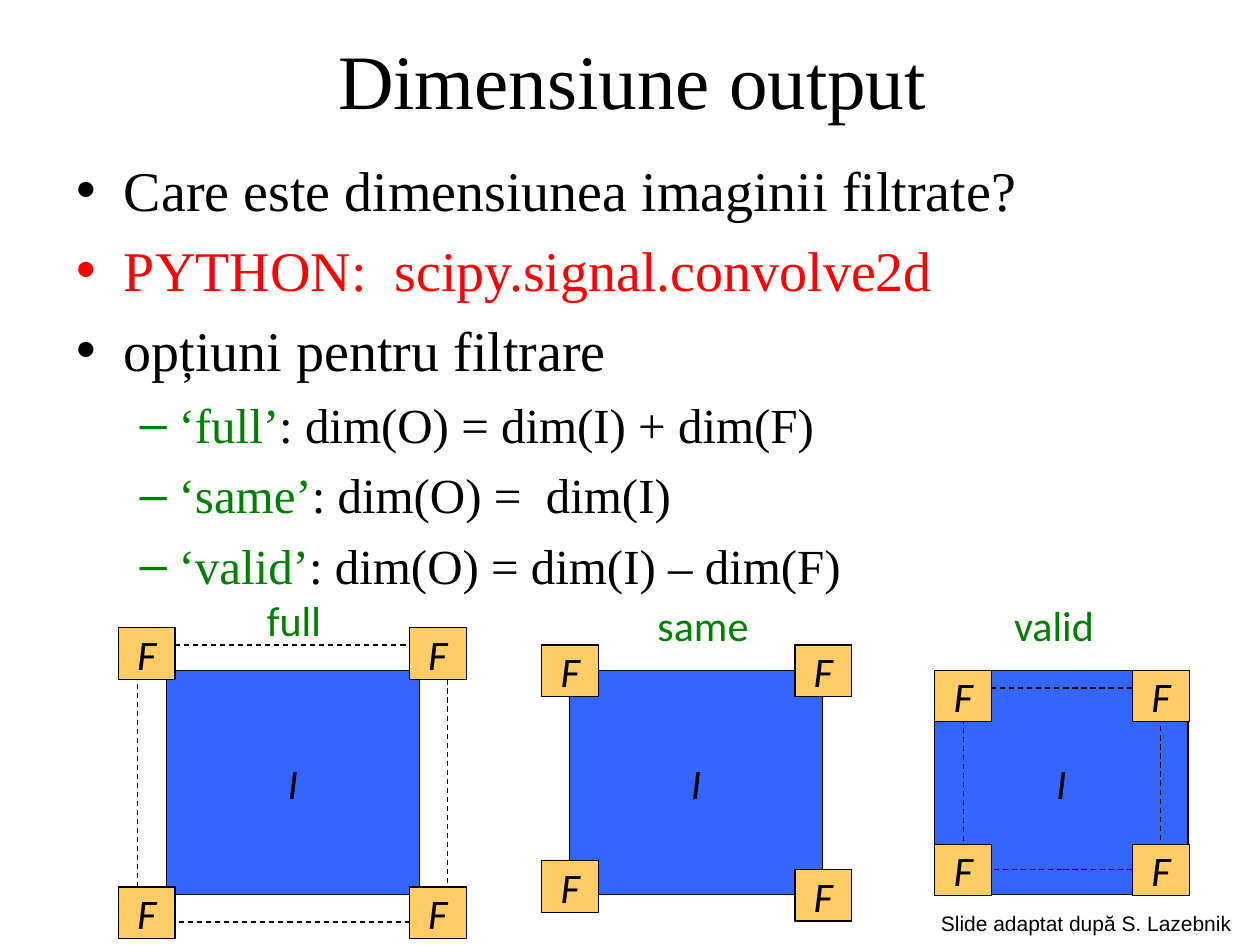
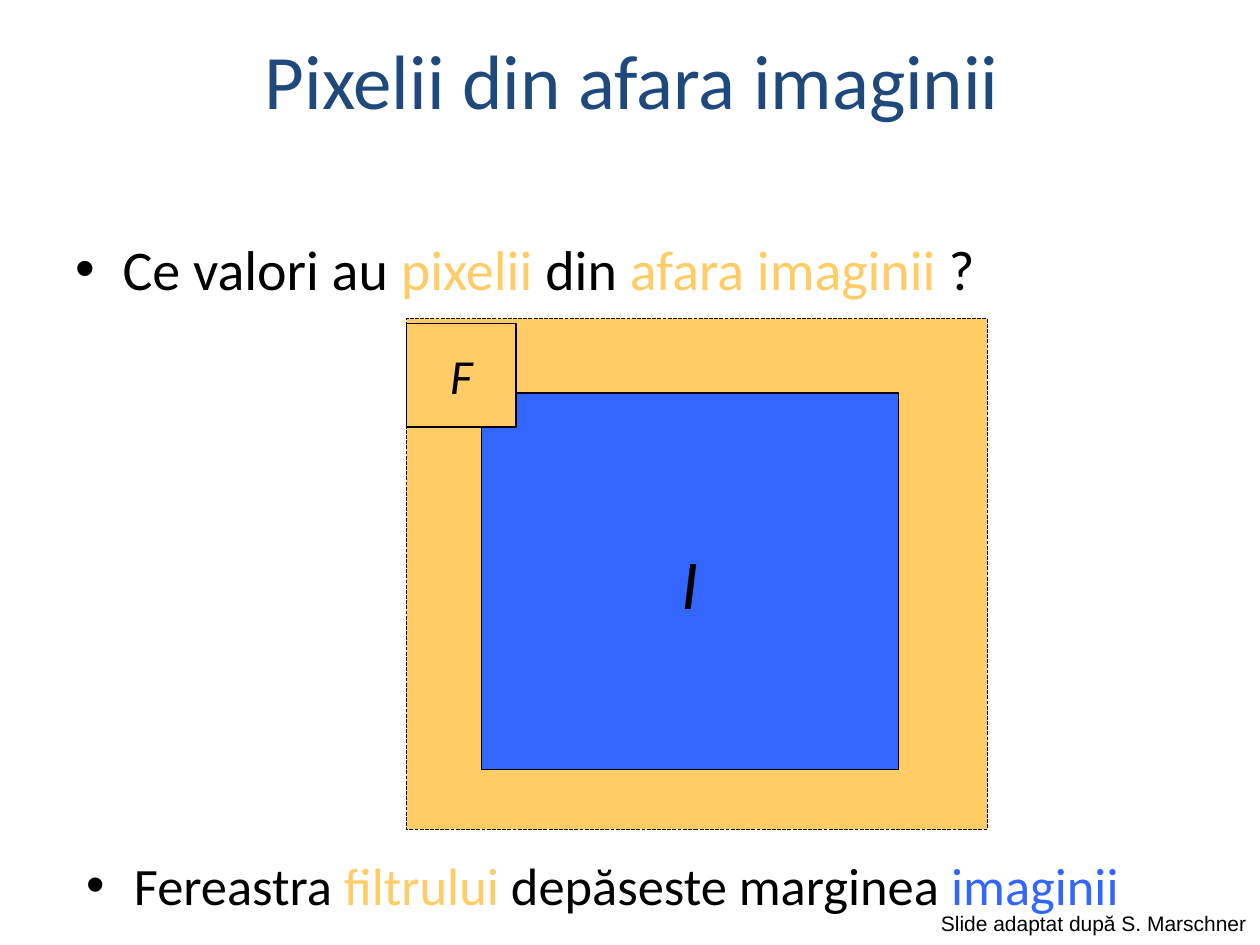
from pptx import Presentation
from pptx.dml.color import RGBColor
from pptx.enum import dml, shapes, text
from pptx.oxml import parse_xml
from pptx.oxml.ns import nsdecls
from pptx.util import Pt

BLACK = RGBColor(0x00, 0x00, 0x00)
WHITE = RGBColor(0xFF, 0xFF, 0xFF)
RED = RGBColor(0xFF, 0x00, 0x00)
GREEN = RGBColor(0x00, 0x80, 0x00)
NAVY = RGBColor(0x1F, 0x49, 0x7D)
IMAGE_BLUE = RGBColor(0x33, 0x66, 0xFF)
FILTER_AMBER = RGBColor(0xFF, 0xCC, 0x66)

SERIF, SANS, CREDIT_FONT = "Times New Roman", "Calibri", "Arial"

# Content: bullet paragraphs are (level, [(words, colour), ...])
SIZE_TITLE = "Dimensiune output"
SIZE_BULLETS = [
    (0, [("Care este dimensiunea imaginii filtrate?", BLACK)]),
    (0, [("PYTHON:  scipy.signal.convolve2d", RED)]),
    (0, [("opțiuni pentru filtrare", BLACK)]),
    (1, [("‘full’", GREEN), (": dim(O) = dim(I) + dim(F)", BLACK)]),
    (1, [("‘same’", GREEN), (": dim(O) =  dim(I)", BLACK)]),
    (1, [("‘valid’", GREEN), (": dim(O) = dim(I) – dim(F)", BLACK)]),
]
SIZE_CREDIT = ("Slide adaptat după S. Lazebnik", 182)

# Each mode: label box, image left, filter columns (left, top, bottom), dashed output frame
MODES = [
    dict(label=("full", 145.4, 336.2, 51), image_left=95,
         columns=[(234, 358.6, 506.9), (67.7, 358.6, 506.9)],
         frame=(78.5, 368.6, 177.1, 158.4), frame_behind=True),
    dict(label=("same", 368.6, 339.1, 76), image_left=325.4,
         columns=[(454.3, 368.6, 496.8), (309.6, 368.6, 491.8)],
         frame=None, frame_behind=False),
    dict(label=("valid", 572.4, 339.1, 70), image_left=534.2,
         columns=[(647.3, 383, 482.4), (534.2, 383, 482.4)],
         frame=(550.8, 393.1, 112.3, 103.7), frame_behind=False),
]
IMAGE_TOP, IMAGE_WIDTH, IMAGE_HEIGHT = 383, 144.7, 128.2
FILTER_SIZE = (32.4, 29.5)

EDGE_TITLE = "Pixelii din afara imaginii"
EDGE_QUESTION = [(0, [("Ce valori au ", BLACK), ("pixelii", FILTER_AMBER), (" din ", BLACK),
                      ("afara imaginii ", FILTER_AMBER), ("?", BLACK)])]
EDGE_REMARK = [(0, [("Fereastra ", BLACK), ("filtrului ", FILTER_AMBER),
                    ("depăseste marginea ", BLACK), ("imaginii", IMAGE_BLUE)])]
EDGE_CREDIT = ("Slide adaptat după S. Marschner", 189)

# Bullet level: character, left margin, hanging indent
LEVELS = [("•", 27, -27), ("–", 58.3, -22.3)]


def box(left, top, width, height):
    return [Pt(v) for v in (left, top, width, height)]


def write(paragraph, words, colour, **formats):
    run = paragraph.add_run()
    run.text = words
    run.font.color.rgb = colour
    for key, value in formats.items():
        setattr(run.font, key, value)


def add_titled_slide(title, font, colour):
    slide = deck.slides.add_slide(deck.slide_layouts[5])
    heading = slide.shapes.title
    places = zip(("left", "top", "width", "height"), box(55.4, 0, 612, 90))
    for key, value in places:
        setattr(heading, key, value)
    frame = heading.text_frame
    frame.vertical_anchor = text.MSO_ANCHOR.MIDDLE
    frame.auto_size = text.MSO_AUTO_SIZE.NONE
    frame.paragraphs[0].alignment = text.PP_ALIGN.CENTER
    write(frame.paragraphs[0], title, colour, size=Pt(44), name=font)
    return slide


def add_bullets(slide, place, paragraphs, font, sizes):
    frame = slide.shapes.add_textbox(*box(*place)).text_frame
    frame.word_wrap = True
    frame.margin_top = Pt(8)
    for index, (level, runs) in enumerate(paragraphs):
        paragraph = frame.add_paragraph() if index else frame.paragraphs[0]
        mark, margin, indent = LEVELS[level]
        props = paragraph._p.get_or_add_pPr()
        props.set("marL", str(Pt(margin)))
        props.set("indent", str(Pt(indent)))
        for element in (f'<a:buClr {nsdecls("a")}><a:srgbClr val="{runs[0][1]}"/></a:buClr>',
                        f'<a:buFont {nsdecls("a")} typeface="Arial"/>',
                        f'<a:buChar {nsdecls("a")} char="{mark}"/>'):
            props.append(parse_xml(element))
        paragraph.level = level
        if index:
            paragraph.space_before = Pt(round(sizes[level] * 0.235, 1))
        for words, colour in runs:
            write(paragraph, words, colour, size=Pt(sizes[level]), name=font)


def add_line_of_text(slide, place, words, colour, font, size):
    frame = slide.shapes.add_textbox(*box(*place)).text_frame
    frame.word_wrap = False
    write(frame.paragraphs[0], words, colour, size=Pt(size), name=font)


def add_credit(slide, words, width):
    add_line_of_text(slide, (530.6, 517, width, 21.8), words, BLACK, CREDIT_FONT, 12)


def add_rectangle(slide, place, fill=None, dash=None, letter=None, size=24):
    rectangle = slide.shapes.add_shape(shapes.MSO_SHAPE.RECTANGLE, *box(*place))
    rectangle.shadow.inherit = False
    if fill is None:
        rectangle.fill.background()
    else:
        rectangle.fill.solid()
        rectangle.fill.fore_color.rgb = fill
    rectangle.line.color.rgb = BLACK
    rectangle.line.width = Pt(0.75)
    if dash:
        rectangle.line.dash_style = dash
    if letter:
        frame = rectangle.text_frame
        frame.word_wrap = False
        frame.vertical_anchor = text.MSO_ANCHOR.MIDDLE
        frame.paragraphs[0].alignment = text.PP_ALIGN.CENTER
        write(frame.paragraphs[0], letter, BLACK, size=Pt(size), name=SANS, italic=True)


def add_mode(slide, label, image_left, columns, frame, frame_behind):
    dash = dml.MSO_LINE.DASH
    if frame and frame_behind:
        add_rectangle(slide, frame, WHITE, dash)
    add_rectangle(slide, (image_left, IMAGE_TOP, IMAGE_WIDTH, IMAGE_HEIGHT),
                  IMAGE_BLUE, letter="I")
    if frame and not frame_behind:
        add_rectangle(slide, frame, dash=dash)
    for left, *tops in columns:
        for top in tops:
            add_rectangle(slide, (left, top, *FILTER_SIZE), FILTER_AMBER, letter="F")
    words, left, top, width = label
    add_line_of_text(slide, (left, top, width, 36), words, GREEN, SANS, 24)


def build_size_slide():
    slide = add_titled_slide(SIZE_TITLE, SERIF, BLACK)
    add_bullets(slide, (36.7, 80.6, 683, 356), SIZE_BULLETS, SERIF, (32, 28))
    for mode in MODES:
        add_mode(slide, **mode)
    add_credit(slide, *SIZE_CREDIT)


def build_edge_slide():
    slide = add_titled_slide(EDGE_TITLE, SANS, NAVY)
    add_bullets(slide, (42.5, 479.5, 670, 59), EDGE_REMARK, SANS, (30,))
    # Padded area, then the image and the filter window over its corner
    add_rectangle(slide, (232.3, 182, 332, 292), FILTER_AMBER, dml.MSO_LINE.SQUARE_DOT)
    add_bullets(slide, (36, 126, 648, 59), EDGE_QUESTION, SANS, (32,))
    add_rectangle(slide, (275, 224.6, 238.3, 215.3), IMAGE_BLUE, letter="I", size=40)
    add_rectangle(slide, (232.3, 185, 62.6, 59), FILTER_AMBER, letter="F", size=28)
    add_credit(slide, *EDGE_CREDIT)


deck = Presentation()
deck.slide_width, deck.slide_height = Pt(720), Pt(540)
build_size_slide()
build_edge_slide()
deck.save("out.pptx")
